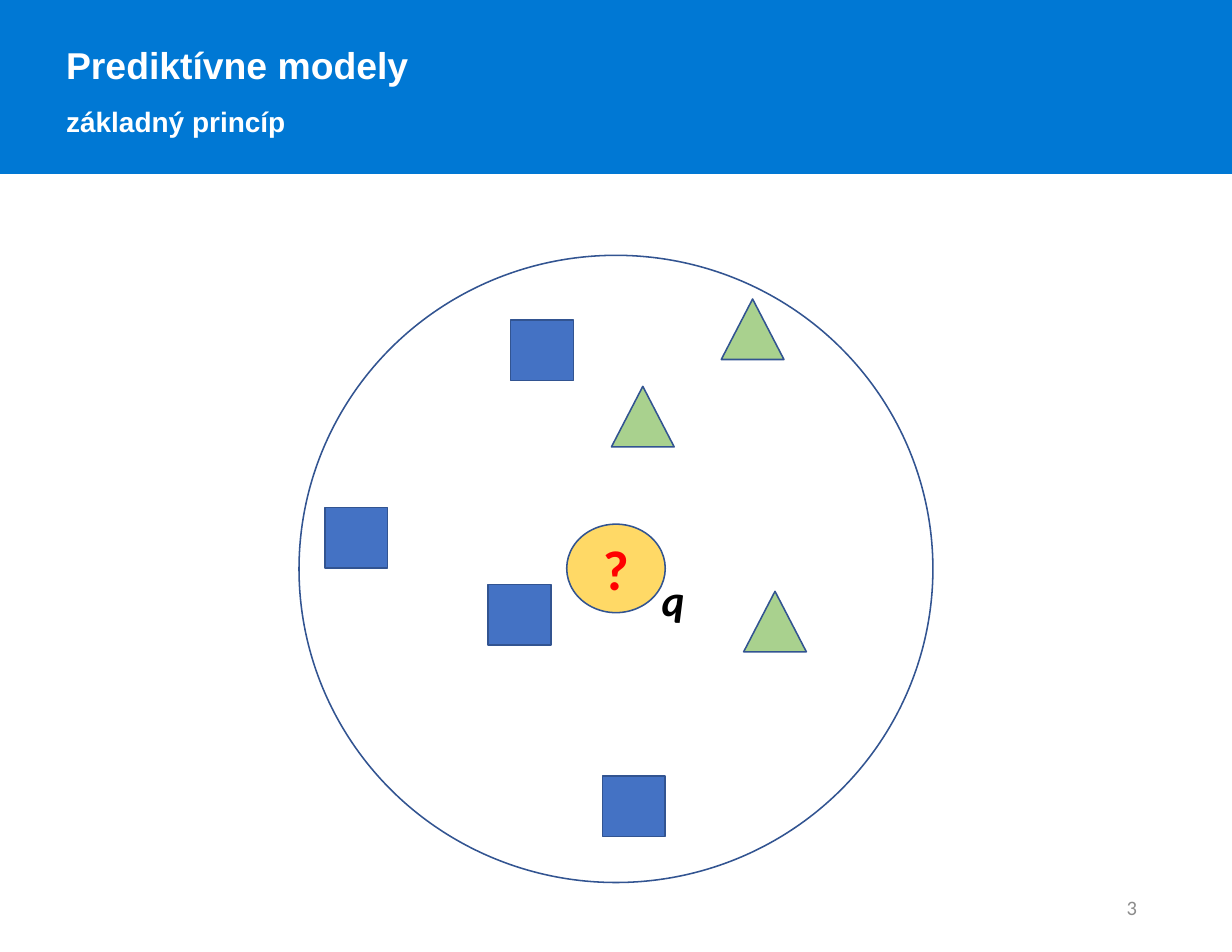
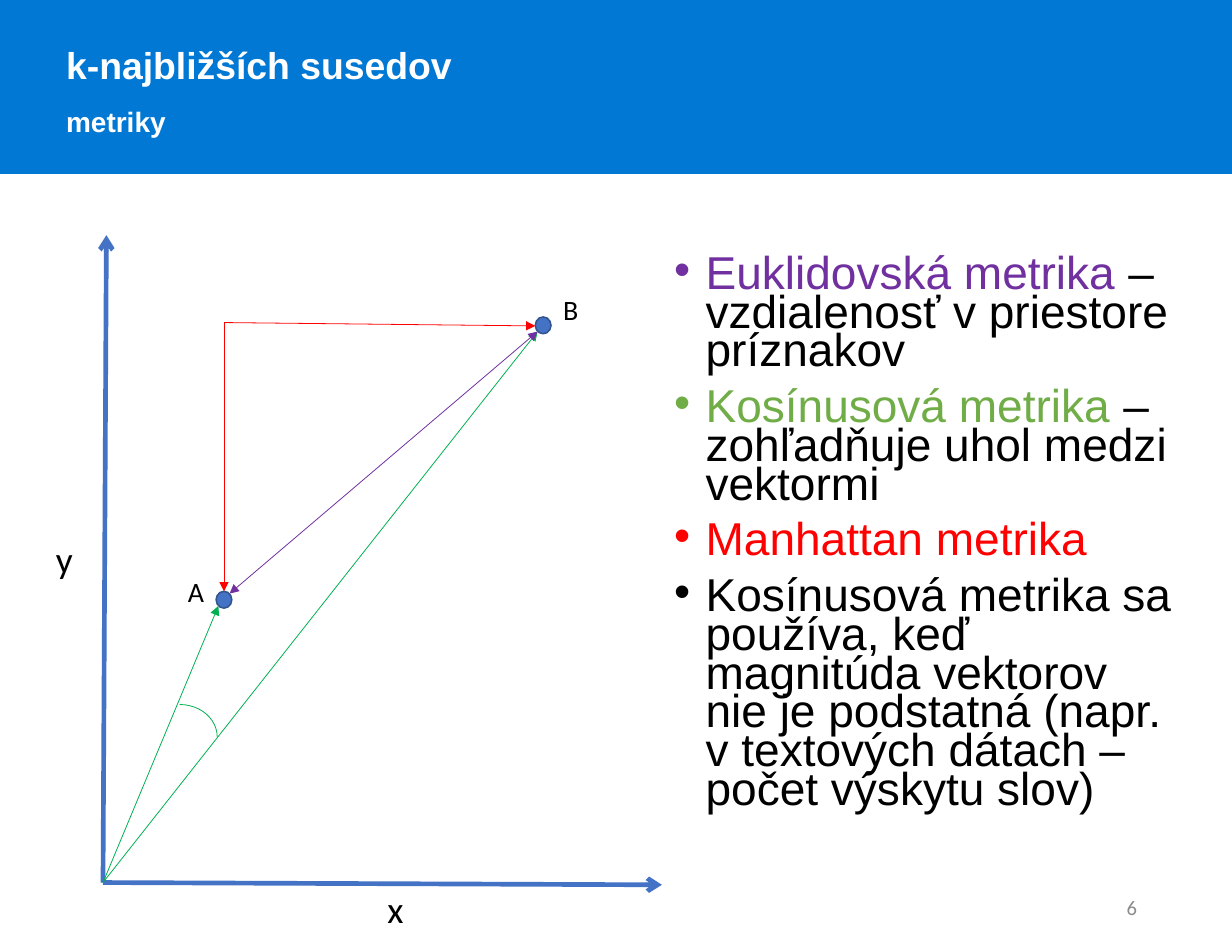
from lxml import etree
from pptx import Presentation
from pptx.dml.color import RGBColor
from pptx.enum.shapes import MSO_CONNECTOR, MSO_SHAPE
from pptx.enum.text import MSO_ANCHOR, MSO_AUTO_SIZE, PP_ALIGN
from pptx.oxml.ns import qn
from pptx.util import Inches, Pt

OVAL, RECT = MSO_SHAPE.OVAL, MSO_SHAPE.RECTANGLE
TRIANGLE, ARC = MSO_SHAPE.ISOSCELES_TRIANGLE, MSO_SHAPE.ARC
STRAIGHT = MSO_CONNECTOR.STRAIGHT
LEFT, CENTER, RIGHT = PP_ALIGN.LEFT, PP_ALIGN.CENTER, PP_ALIGN.RIGHT
TOP, MIDDLE = MSO_ANCHOR.TOP, MSO_ANCHOR.MIDDLE
FIXED, GROW = MSO_AUTO_SIZE.NONE, MSO_AUTO_SIZE.SHAPE_TO_FIT_TEXT
TITLE_AND_BODY, TITLE_ONLY = 1, 5

COLORS = {
    "band": "0078D4", "white": "FFFFFF", "black": "000000", "grey": "8C8C8C",
    "blue": "4472C4", "outline": "325491", "yellow": "FFD966",
    "light_green": "A9D18E", "text_green": "70AD47", "green": "00B050",
    "purple": "7030A0", "red": "FF0000",
}


def rgb(name):
    return RGBColor.from_string(COLORS[name])


def place(shape, left, top, width, height):
    shape.left, shape.top = Inches(left), Inches(top)
    shape.width, shape.height = Inches(width), Inches(height)


class Slides:
    """The shared style and the slide being built."""

    def __init__(self):
        self.deck = Presentation()
        self.deck.slide_width, self.deck.slide_height = Inches(11), Inches(8.5)
        self.page = None

    def start(self, layout, title, subtitle, number):
        self.page = self.deck.slides.add_slide(self.deck.slide_layouts[layout])
        heading = self.page.shapes.title
        place(heading, 0.49, 0.13, 10.18, 1.11)
        frame = heading.text_frame
        frame.word_wrap, frame.auto_size = True, GROW
        frame.vertical_anchor = TOP
        frame.text = f"{title}\n{subtitle}"
        for para, size in zip(frame.paragraphs, (24, 18)):
            para.alignment, para.line_spacing = LEFT, 1.5
            self.font(para, size, "white", "Arial", bold=True)
        # The band lies behind the title
        band = self.shape(RECT, 0, 0, 11, 1.55, "band", "band")
        heading.element.addprevious(band.element)
        # Page number
        box = self.page.shapes.add_textbox(
            Inches(7.77), Inches(7.88), Inches(2.48), Inches(0.45))
        box.text_frame.word_wrap = True
        self.put_text(box, str(number), 13.2, "grey", RIGHT, MIDDLE)

    def font(self, target, size, color, name="Calibri", bold=False, italic=False):
        font = target.font
        font.name, font.size = name, Pt(size)
        font.bold, font.italic = bold, italic
        font.color.rgb = rgb(color)

    def put_text(self, box, text, size, color, align=LEFT, anchor=TOP, **style):
        frame = box.text_frame
        frame.text, frame.vertical_anchor = text, anchor
        para = frame.paragraphs[0]
        para.alignment = align
        self.font(para, size, color, **style)

    def shape(self, kind, left, top, width, height, fill, line="outline", weight=1):
        shape = self.page.shapes.add_shape(
            kind, Inches(left), Inches(top), Inches(width), Inches(height))
        shape.shadow.inherit = False
        if fill:
            shape.fill.solid()
            shape.fill.fore_color.rgb = rgb(fill)
        else:
            shape.fill.background()
        shape.line.color.rgb, shape.line.width = rgb(line), Pt(weight)
        return shape

    def label(self, text, left, top, width, height, size, **style):
        box = self.page.shapes.add_textbox(
            Inches(left), Inches(top), Inches(width), Inches(height))
        box.text_frame.word_wrap, box.text_frame.auto_size = False, GROW
        self.put_text(box, text, size, "black", **style)

    def line(self, start, end, color, weight=0.5, head=None, tail=None):
        points = [Inches(value) for value in (*start, *end)]
        line = self.page.shapes.add_connector(STRAIGHT, *points)
        line.line.color.rgb, line.line.width = rgb(color), Pt(weight)
        properties = line.element.spPr
        outline = properties.find(qn("a:ln"))
        for tag, arrow in (("a:headEnd", head), ("a:tailEnd", tail)):
            if arrow:
                etree.SubElement(outline, qn(tag)).set("type", arrow)
        etree.SubElement(properties, qn("a:effectLst"))

    def bullets(self, items, left, top, width, height, size):
        body = self.page.placeholders[1]
        place(body, left, top, width, height)
        frame = body.text_frame
        frame.word_wrap, frame.auto_size = True, FIXED
        frame.vertical_anchor = TOP
        for index, spans in enumerate(items):
            para = frame.add_paragraph() if index else frame.paragraphs[0]
            para.alignment, para.line_spacing = LEFT, 0.7
            para.space_before = Pt(11)
            self.font(para, size, spans[0][1], "Arial")
            for text, color in spans:
                span = para.add_run()
                span.text = text
                span.font.color.rgb = rgb(color)
            properties = para._p.get_or_add_pPr()
            properties.set("marL", str(Inches(0.28)))
            properties.set("indent", str(-Inches(0.28)))
            bullet = etree.Element(qn("a:buChar"), char="•")
            properties.find(qn("a:defRPr")).addprevious(bullet)


slides = Slides()

# Slide 1: an unknown point among two classes
slides.start(TITLE_ONLY, "Prediktívne modely", "základný princíp", 3)
slides.shape(OVAL, 2.67, 2.28, 5.66, 5.6, "white")
query = slides.shape(OVAL, 5.06, 4.68, 0.88, 0.79, "yellow")
slides.put_text(query, "?", 36, "red", CENTER, MIDDLE, bold=True)
samples = [
    (RECT, "blue", [(4.56, 2.86), (2.9, 4.53), (4.36, 5.22), (5.38, 6.93)]),
    (TRIANGLE, "light_green", [(6.44, 2.67), (5.46, 3.45), (6.64, 5.28)]),
]
for kind, color, corners in samples:
    for left, top in corners:
        slides.shape(kind, left, top, 0.56, 0.54, color)
slides.label("q", 5.81, 5.07, 0.41, 0.57, 28, bold=True, italic=True)

# Slide 2: metrics between points A and B
slides.start(TITLE_AND_BODY, "k-najbližších susedov", "metriky", 6)
slides.bullets([
    [("Euklidovská metrika ", "purple"),
     ("– vzdialenosť v priestore príznakov", "black")],
    [("Kosínusová metrika ", "text_green"),
     ("– zohľadňuje uhol medzi vektormi", "black")],
    [("Manhattan metrika", "red")],
    [("Kosínusová metrika sa používa, keď magnitúda vektorov nie je podstatná "
      "(napr. v textových dátach – počet výskytu slov)", "black")],
], 5.92, 2.26, 4.67, 5.74, 29.6)

# Axes
origin = (0.92, 7.88)
for end in ((0.95, 2.1), (5.91, 7.9)):
    slides.line(origin, end, "blue", 3, tail="arrow")
slides.label("x", 3.36, 7.86, 0.35, 0.5, 24)
slides.label("y", 0.4, 4.74, 0.35, 0.5, 24)

# Points
for left, top in ((1.93, 5.28), (4.78, 2.83)):
    slides.shape(OVAL, left, top, 0.14, 0.15, "blue")
slides.label("A", 1.58, 5.08, 0.35, 0.4, 18)
slides.label("B", 4.93, 2.56, 0.34, 0.4, 18)

# Cosine: two vectors and their angle
near_b = (4.8, 2.96)
for end in ((1.95, 5.41), near_b):
    slides.line(origin, end, "green", tail="triangle")
slides.shape(ARC, 1.27, 6.29, 0.67, 0.58, None, "green", 0.5)

# Euclidean: the direct distance
slides.line((2.05, 5.3), near_b, "purple", head="triangle", tail="triangle")

# Manhattan: along the axes
corner = (2, 2.88)
slides.line((2, 5.28), corner, "red", head="triangle")
slides.line(corner, (4.78, 2.91), "red", tail="triangle")

slides.deck.save("out.pptx")
